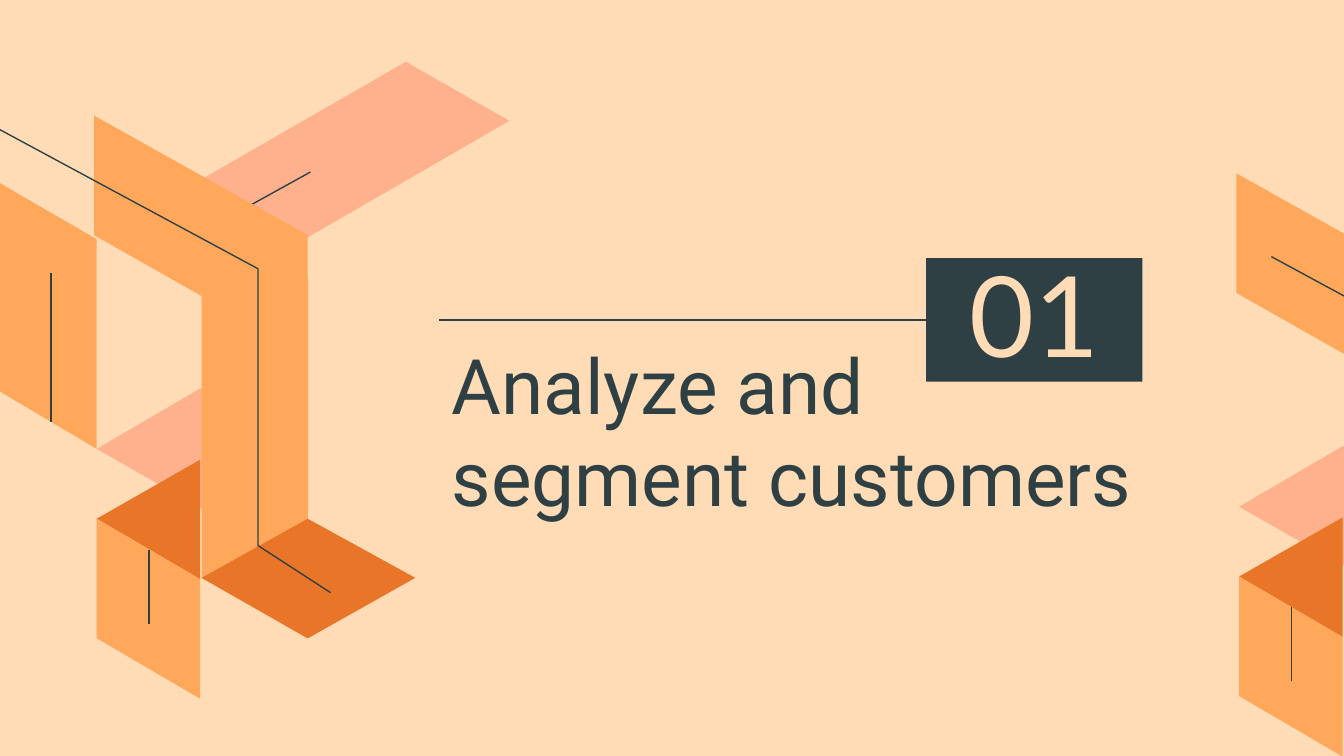
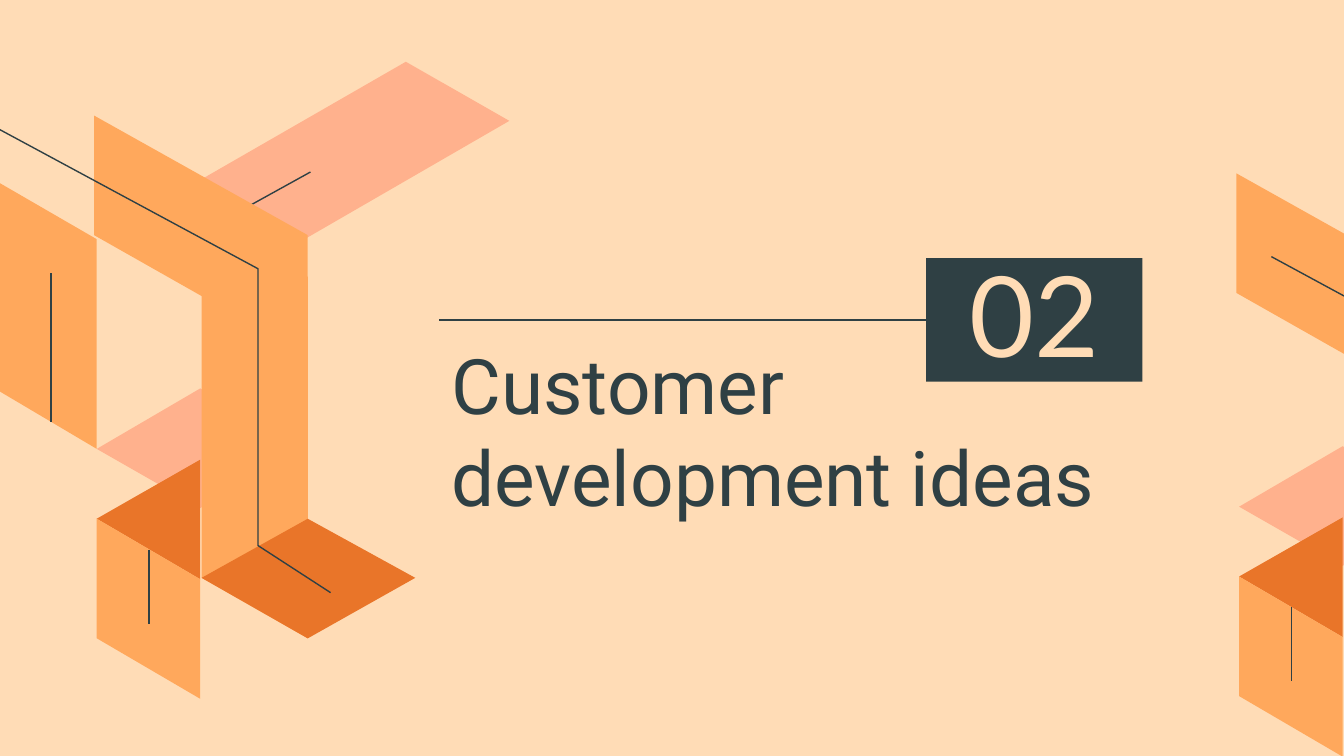
from pptx import Presentation
from pptx.dml.color import RGBColor
from pptx.enum.shapes import MSO_CONNECTOR
from pptx.enum.text import MSO_ANCHOR, MSO_AUTO_SIZE, PP_ALIGN
from pptx.oxml.xmlchemy import OxmlElement
from pptx.util import Inches, Pt

STRAIGHT = MSO_CONNECTOR.STRAIGHT
BOTTOM, MIDDLE = MSO_ANCHOR.BOTTOM, MSO_ANCHOR.MIDDLE
LEFT, CENTER = PP_ALIGN.LEFT, PP_ALIGN.CENTER
NO_FIT = MSO_AUTO_SIZE.NONE

COLORS = {
    "sand": "FFDCB6",
    "pink": "FFB18D",
    "amber": "FFA85C",
    "rust": "E97529",
    "ink": "2F4044",
}
COLORS = {name: RGBColor.from_string(value) for name, value in COLORS.items()}

RIGHT_SHIFT = (8.5, 0.43)
BEND = [(2.46, 4.41), (1.92, 4.06), (1.92, 2)]
SIDE_PANEL = [
    ("amber", [(0.72, 1.78), (-0.04, 1.34), (-0.04, 2.89), (0.72, 3.34)]),
    ("line", [(0.38, 3.14), (0.38, 2.03)]),
]
CUBE = [
    ("pink", [(1.49, 3.78), (2.26, 3.34), (1.49, 2.89), (0.72, 3.34)]),
    ("rust", [(0.72, 3.86), (1.49, 3.42), (1.49, 4.31)]),
    ("amber", [(1.49, 4.31), (0.72, 3.86), (0.72, 4.75), (1.49, 5.2)]),
    ("line", [(1.11, 4.09), (1.11, 4.64)]),
]
BEAM = [("amber", [(0.7, 1.75), (0.7, 0.86), (2.29, 1.75), (2.29, 2.65)])]
ARM = [
    ("pink", [(3.79, 0.9), (3.02, 0.46), (1.49, 1.34), (2.25, 1.79)]),
    ("line", [(2.31, 1.28), (1.84, 1.54)]),
]
COLUMN = [("amber", [(2.29, 4.75), (2.29, 2.06), (1.5, 1.61), (1.5, 4.3)])]
FOOT = [("rust", [(2.29, 4.75), (3.09, 4.3), (2.29, 3.86), (1.5, 4.3)])]

RIGHT_ART = CUBE + BEAM + [("path", BEND + [(0.96, 1.48)])]
LEFT_ART = CUBE + ARM + COLUMN + BEAM + FOOT + [("path", BEND + [(-1.68, 0.06)])]
RULE = [("line", [(3.27, 2.38), (6.89, 2.38)])]
ARTWORK = [
    (RIGHT_ART, RIGHT_SHIFT),
    (SIDE_PANEL, (0, 0)),
    (RULE, (0, 0)),
    (LEFT_ART, (0, 0)),
]

TITLE = {
    "place": {"left": 3.26, "top": 3.06, "width": 5.54, "height": 0.92},
    "margins": {"margin_left": 0.1, "margin_top": 0.1,
                "margin_right": 0.1, "margin_bottom": 0.1},
    "frame": {"vertical_anchor": BOTTOM, "word_wrap": True, "auto_size": NO_FIT},
    "para": {"alignment": LEFT, "space_before": Pt(0)},
    "font": {"name": "Roboto", "size": Pt(41), "bold": False},
    "color": "ink",
}
NUMBER = {
    "place": {"left": 6.89, "top": 1.92, "width": 1.61, "height": 0.92},
    "margins": TITLE["margins"] | {"margin_top": 0},
    "frame": TITLE["frame"] | {"vertical_anchor": MIDDLE},
    "para": TITLE["para"] | {"alignment": CENTER},
    "font": TITLE["font"] | {"name": "Lato", "size": Pt(60)},
    "color": "sand",
}

SECTIONS = [
    ("01", "Analyze and segment customers"),
    ("02", "Customer development ideas"),
]


def draw_part(page, kind, points, shift):
    spots = [(Inches(x + shift[0]), Inches(y + shift[1])) for x, y in points]
    if kind == "line":
        shape = page.shapes.add_connector(STRAIGHT, *spots[0], *spots[1])
    else:
        outline = page.shapes.build_freeform(*spots[0], scale=1.0)
        outline.add_line_segments(spots[1:], close=kind != "path")
        shape = outline.convert_to_shape()
        shape.shadow.inherit = False
    if kind in ("line", "path"):
        shape.line.color.rgb = COLORS["ink"]
        shape.line.width = Pt(0.75)
    else:
        shape.fill.solid()
        shape.fill.fore_color.rgb = COLORS[kind]
        shape.line.fill.background()
    if kind == "line":
        shape._element.spPr.append(OxmlElement("a:effectLst"))
    if kind == "path":
        shape.fill.background()


def fill_text(box, text, style):
    for name, value in style["place"].items():
        setattr(box, name, Inches(value))
    frame = box.text_frame
    frame.text = text
    for name, value in style["margins"].items():
        setattr(frame, name, Inches(value))
    para = frame.paragraphs[0]
    span = para.runs[0]
    for target, key in ((frame, "frame"), (para, "para"), (span.font, "font")):
        for name, value in style[key].items():
            setattr(target, name, value)
    span.font.color.rgb = COLORS[style["color"]]


deck = Presentation()
deck.slide_width = Inches(10)
deck.slide_height = deck.slide_width * 9 // 16
backdrop = deck.slide_master.background.fill
backdrop.solid()
backdrop.fore_color.rgb = COLORS["sand"]

for number, heading in SECTIONS:
    page = deck.slides.add_slide(deck.slide_layouts[0])
    fill_text(page.shapes.title, heading, TITLE)
    badge = page.placeholders[1]
    fill_text(badge, number, NUMBER)
    badge.fill.solid()
    badge.fill.fore_color.rgb = COLORS["ink"]
    for parts, shift in ARTWORK:
        for kind, points in parts:
            draw_part(page, kind, points, shift)

deck.save("out.pptx")
